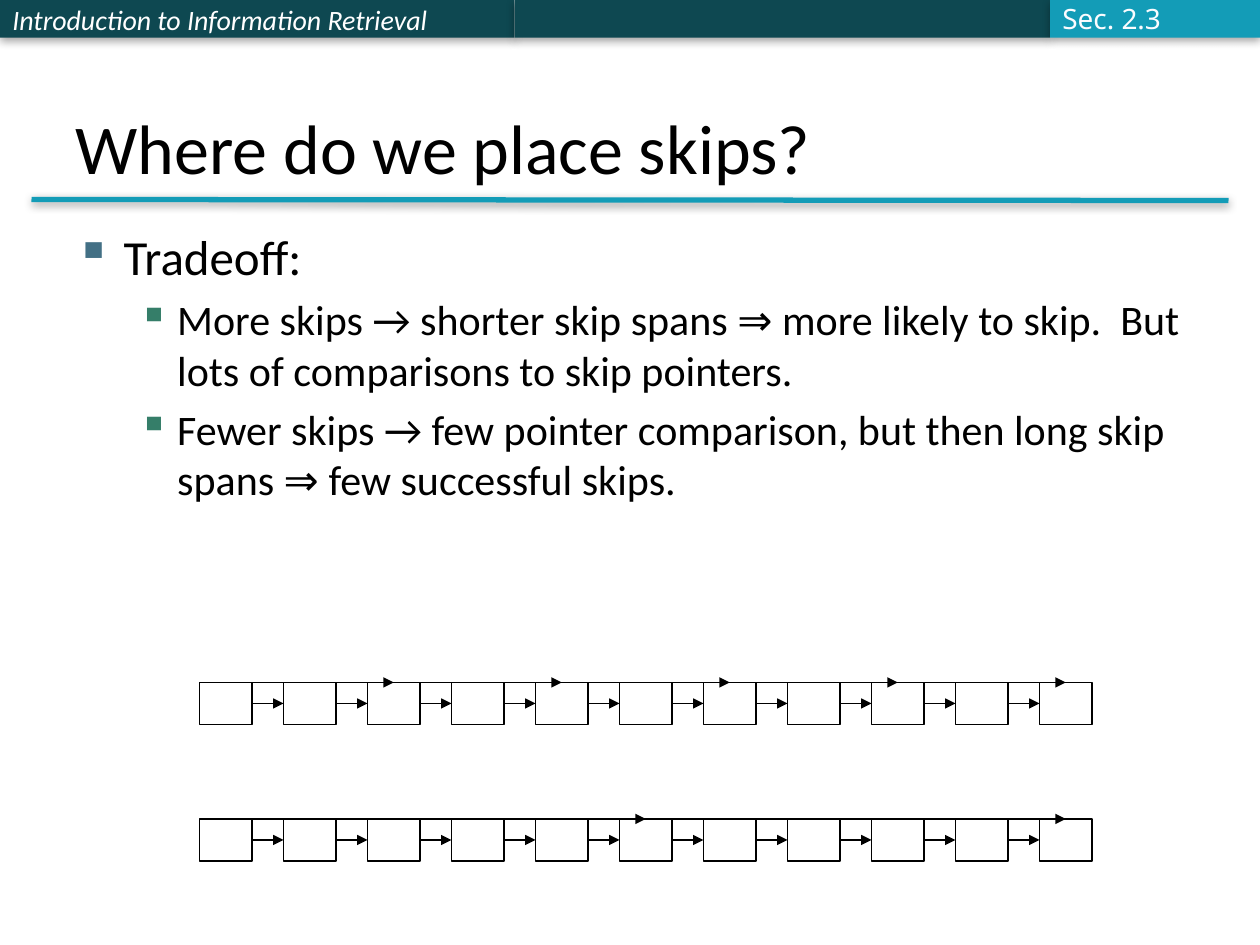
from dataclasses import dataclass

from lxml import etree
from pptx import Presentation
from pptx.dml.color import RGBColor
from pptx.enum.shapes import MSO_CONNECTOR, MSO_SHAPE
from pptx.enum.text import MSO_ANCHOR, MSO_AUTO_SIZE, PP_ALIGN
from pptx.oxml import parse_xml
from pptx.oxml.ns import nsdecls, qn
from pptx.util import Pt

RECTANGLE = MSO_SHAPE.RECTANGLE
STRAIGHT, CURVE = MSO_CONNECTOR.STRAIGHT, MSO_CONNECTOR.CURVE
TOP, MIDDLE, BOTTOM = MSO_ANCHOR.TOP, MSO_ANCHOR.MIDDLE, MSO_ANCHOR.BOTTOM
LEFT = PP_ALIGN.LEFT
NO_AUTOFIT = MSO_AUTO_SIZE.NONE
PX = 7620


@dataclass(frozen=True)
class Theme:
    ink: str = "000000"
    paper: str = "FFFFFF"
    banner: str = "0E4851"
    accent: str = "139CB7"
    section_text: str = "FBFCFF"
    bullets: tuple = ("437085", "357E69")
    font: str = "Calibri"
    section_font: str = "Noto Sans"
    title_size: int = 40
    body_sizes: tuple = (28, 24)
    header_size: int = 16
    thin: float = 0.75
    rule: float = 3


THEME = Theme()
TRADEOFF = [
    (0, "Tradeoff:"),
    (1, "More skips → shorter skip spans ⇒ more likely to skip.  "
        "But lots of comparisons to skip pointers."),
    (1, "Fewer skips → few pointer comparison, but then long skip "
        "spans ⇒ few successful skips."),
]
INDENTS = ((46, -46), (97, -37))
NODE_COUNT = 11
NODE_LEFT, NODE_WIDTH, NODE_HEIGHT, NODE_PITCH = 190, 50, 40, 80
POSTINGS = ((650, 2), (780, 5))


def px(*lengths):
    return [length * PX for length in lengths]


def rgb(color):
    return RGBColor.from_string(color)


def set_effects(shape, shadow_alpha=None, distance=0):
    properties = shape._element.spPr
    for old in properties.findall(qn("a:effectLst")):
        properties.remove(old)
    shadow = "" if shadow_alpha is None else (
        f'<a:outerShdw blurRad="{Pt(5)}" dist="{Pt(distance)}" dir="5400000" '
        f'rotWithShape="0"><a:srgbClr val="{THEME.ink}">'
        f'<a:alpha val="{shadow_alpha * 1000}"/></a:srgbClr></a:outerShdw>')
    properties.append(parse_xml(
        f'<a:effectLst {nsdecls("a")}>{shadow}</a:effectLst>'))


def prepare_frame(frame, anchor):
    frame.word_wrap = True
    frame.auto_size = NO_AUTOFIT
    frame.vertical_anchor = anchor


def format_paragraph(paragraph, size, color=THEME.ink, font=THEME.font, italic=None):
    paragraph.alignment = LEFT
    paragraph.font.name = font
    paragraph.font.size = Pt(size)
    paragraph.font.color.rgb = rgb(color)
    paragraph.font.italic = italic


def add_text(frame, text, anchor, size, **style):
    prepare_frame(frame, anchor)
    frame.text = text
    format_paragraph(frame.paragraphs[0], size, **style)


def add_band(slide, left, width, color):
    band = slide.shapes.add_shape(RECTANGLE, *px(left, 0, width, 36))
    band.fill.solid()
    band.fill.fore_color.rgb = rgb(color)
    band.line.fill.background()
    set_effects(band, 35, 1.8)
    return band


def add_line(shapes, kind, start, end, color=THEME.ink, width=THEME.thin):
    line = shapes.add_connector(kind, *px(*start, *end))
    line.line.color.rgb = rgb(color)
    line.line.width = Pt(width)
    set_effects(line)
    return line


def add_arrow(shapes, kind, start, end):
    arrow = add_line(shapes, kind, start, end)
    etree.SubElement(arrow.line._get_or_add_ln(), qn("a:tailEnd"), type="triangle")
    return arrow


def add_skip(shapes, start, end):
    skip = add_arrow(shapes, CURVE, start, end)
    guides = skip._element.spPr.find(qn("a:prstGeom")).get_or_add_avLst()
    etree.SubElement(guides, qn("a:gd"), name="adj1", fmla="val 0")


def add_node(shapes, left, top):
    node = shapes.add_shape(RECTANGLE, *px(left, top, NODE_WIDTH, NODE_HEIGHT))
    node.fill.background()
    node.line.color.rgb = rgb(THEME.ink)
    node.line.width = Pt(THEME.thin)
    node.shadow.inherit = False


def add_postings(slide, top, span):
    lefts = [NODE_LEFT + i * NODE_PITCH for i in range(NODE_COUNT)]
    middle = top + NODE_HEIGHT // 2
    for left, following in zip(lefts, lefts[1:]):
        linked_node = slide.shapes.add_group_shape().shapes
        add_node(linked_node, left, top)
        add_arrow(linked_node, STRAIGHT, (left + NODE_WIDTH, middle), (following, middle))
    add_node(slide.shapes, lefts[-1], top)
    stops = [left + NODE_WIDTH // 2 for left in lefts[::span]]
    for start, end in zip(stops, stops[1:]):
        add_skip(slide.shapes, (start, top), (end, top))


def add_header(slide):
    course = add_band(slide, 0, 490, THEME.banner)
    add_text(course.text_frame, "Introduction to Information Retrieval", MIDDLE,
             THEME.header_size, color=THEME.paper, italic=True)
    add_band(slide, 490, 510, THEME.banner)
    add_band(slide, 1000, 200, THEME.accent)
    section = slide.shapes.add_textbox(*px(1000, -5, 127, 44))
    add_text(section.text_frame, "Sec. 2.3", MIDDLE, THEME.header_size,
             color=THEME.section_text, font=THEME.section_font)


def add_title(slide, text):
    title = slide.shapes.title
    title.left, title.top, title.width, title.height = px(60, 36, 1080, 150)
    add_text(title.text_frame, text, BOTTOM, THEME.title_size)
    rule = add_line(slide.shapes, STRAIGHT, (30, 190), (1170, 191),
                    THEME.accent, THEME.rule)
    set_effects(rule, 38, 1.6)


def add_bullet(paragraph, level):
    properties = paragraph._p.get_or_add_pPr()
    margin, indent = px(*INDENTS[level])
    properties.set("marL", str(margin))
    properties.set("indent", str(indent))
    color = etree.SubElement(properties, qn("a:buClr"))
    etree.SubElement(color, qn("a:srgbClr"), val=THEME.bullets[level])
    etree.SubElement(properties, qn("a:buChar"), char="▪")


def add_body(slide, items):
    frame = slide.shapes.add_textbox(*px(60, 210, 1080, 650)).text_frame
    prepare_frame(frame, TOP)
    for index, (level, text) in enumerate(items):
        paragraph = frame.add_paragraph() if index else frame.paragraphs[0]
        paragraph.text = text
        paragraph.level = level
        if level:
            paragraph.space_before = Pt(4.8)
        add_bullet(paragraph, level)
        format_paragraph(paragraph, THEME.body_sizes[level])


def main():
    deck = Presentation()
    deck.slide_width, deck.slide_height = px(1200, 900)
    slide = deck.slides.add_slide(deck.slide_layouts[5])
    add_header(slide)
    add_title(slide, "Where do we place skips?")
    add_body(slide, TRADEOFF)
    for top, span in POSTINGS:
        add_postings(slide, top, span)
    deck.save("out.pptx")


if __name__ == "__main__":
    main()
